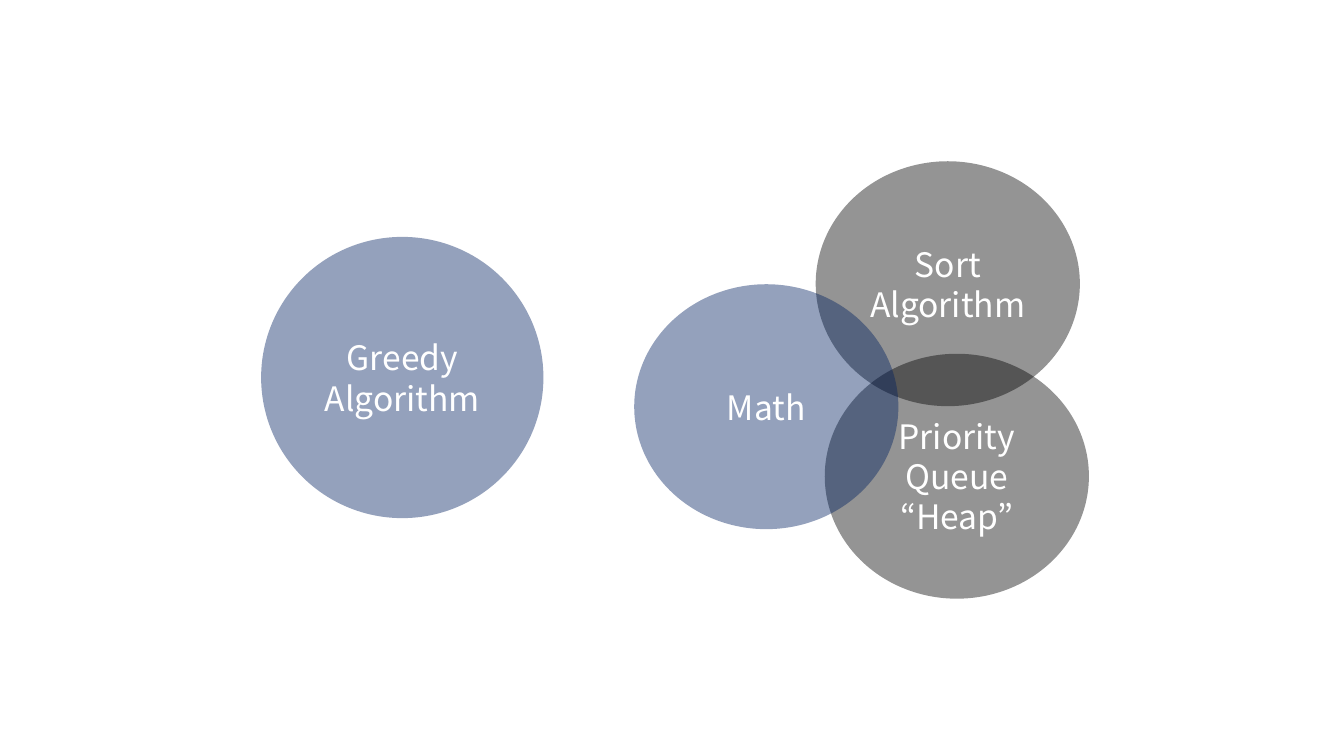
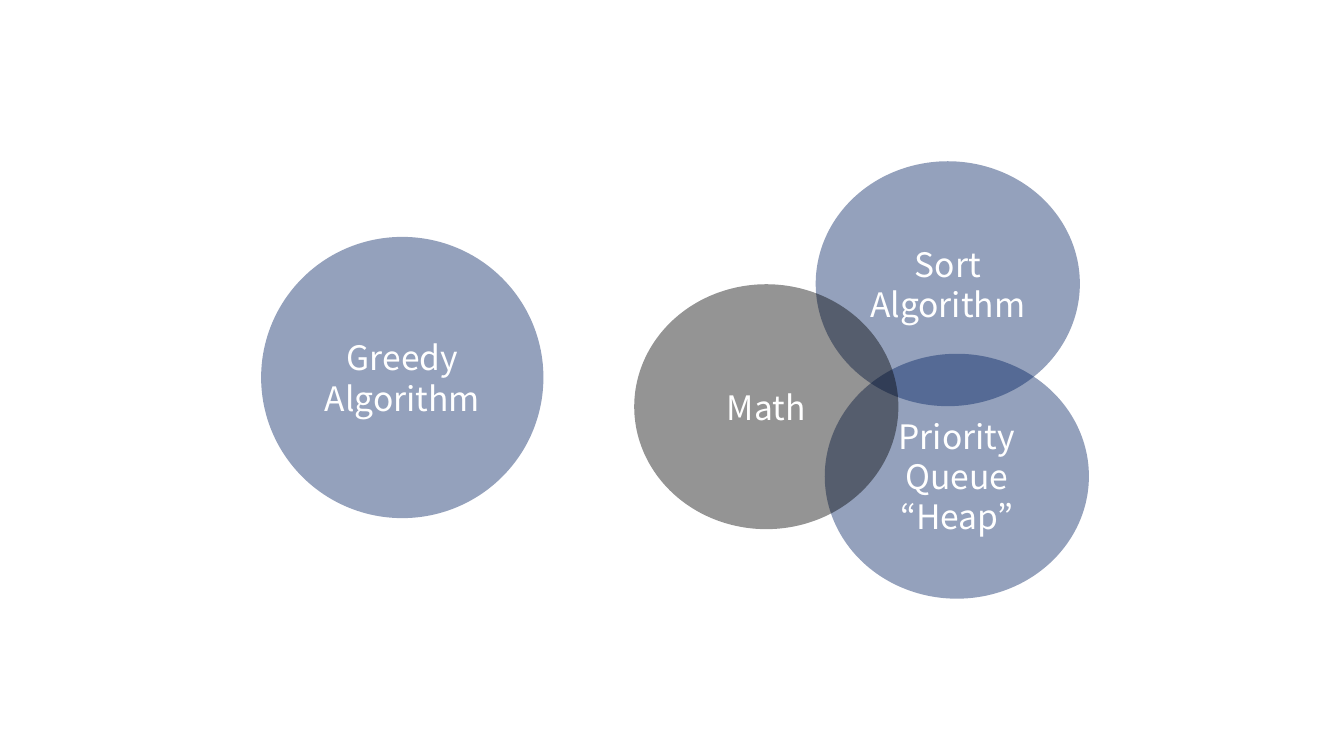
from dataclasses import dataclass

from lxml import etree
from pptx import Presentation
from pptx.dml.color import RGBColor
from pptx.enum.shapes import MSO_SHAPE
from pptx.enum.text import MSO_ANCHOR, PP_ALIGN
from pptx.oxml.ns import qn
from pptx.slide import Slide
from pptx.util import Inches, Pt

ELLIPSE = MSO_SHAPE.OVAL
MIDDLE = MSO_ANCHOR.MIDDLE
CENTER = PP_ALIGN.CENTER
BLANK_LAYOUT = 6


@dataclass(frozen=True)
class Theme:
    navy: RGBColor = RGBColor(0x00, 0x20, 0x60)
    black: RGBColor = RGBColor(0x00, 0x00, 0x00)
    white: RGBColor = RGBColor(0xFF, 0xFF, 0xFF)
    opacity: int = 42
    font: str = "Noto Sans CJK KR"
    label_size: int = 24


@dataclass(frozen=True)
class Topic:
    """A labelled circle; each label entry is a paragraph, newlines break lines."""

    label: tuple[str, ...]
    left: float
    top: float
    width: float = 2.62
    height: float = 2.43


THEME = Theme()

GREEDY = Topic(("Greedy\nAlgorithm",), 2.59, 2.35, 2.8, 2.79)
SORT = Topic(("Sort\nAlgorithm",), 8.09, 1.6)
HEAP = Topic(("Priority\nQueue", "“Heap”"), 8.18, 3.51)
MATH = Topic(("Math",), 6.29, 2.82)
TOPICS = (GREEDY, SORT, HEAP, MATH)

# The topics shown in navy on each page; the others are black.
HIGHLIGHTS = ((GREEDY, MATH), (GREEDY, SORT, HEAP))


def write_label(frame, paragraphs: tuple[str, ...], *, size: int, color: RGBColor) -> None:
    frame.word_wrap = True
    frame.vertical_anchor = MIDDLE
    for index, text in enumerate(paragraphs):
        para = frame.add_paragraph() if index else frame.paragraphs[0]
        para.text = text
        para.alignment = CENTER
        for span in para.runs:
            span.font.name = THEME.font
            span.font.size = Pt(size)
            span.font.color.rgb = color


def draw_topic(page: Slide, topic: Topic, color: RGBColor) -> None:
    circle = page.shapes.add_shape(
        ELLIPSE,
        Inches(topic.left),
        Inches(topic.top),
        Inches(topic.width),
        Inches(topic.height),
    )
    circle.shadow.inherit = False
    circle.line.fill.background()
    circle.fill.solid()
    circle.fill.fore_color.rgb = color
    fill_color = circle.element.spPr.find(qn("a:solidFill")).find(qn("a:srgbClr"))
    etree.SubElement(fill_color, qn("a:alpha")).set("val", str(THEME.opacity * 1000))
    write_label(circle.text_frame, topic.label, size=THEME.label_size, color=THEME.white)


def main() -> None:
    deck = Presentation()
    deck.slide_width = Inches(13.33)
    deck.slide_height = Inches(7.5)
    for highlighted in HIGHLIGHTS:
        page = deck.slides.add_slide(deck.slide_layouts[BLANK_LAYOUT])
        for topic in TOPICS:
            draw_topic(page, topic, THEME.navy if topic in highlighted else THEME.black)
    deck.save("out.pptx")


if __name__ == "__main__":
    main()
